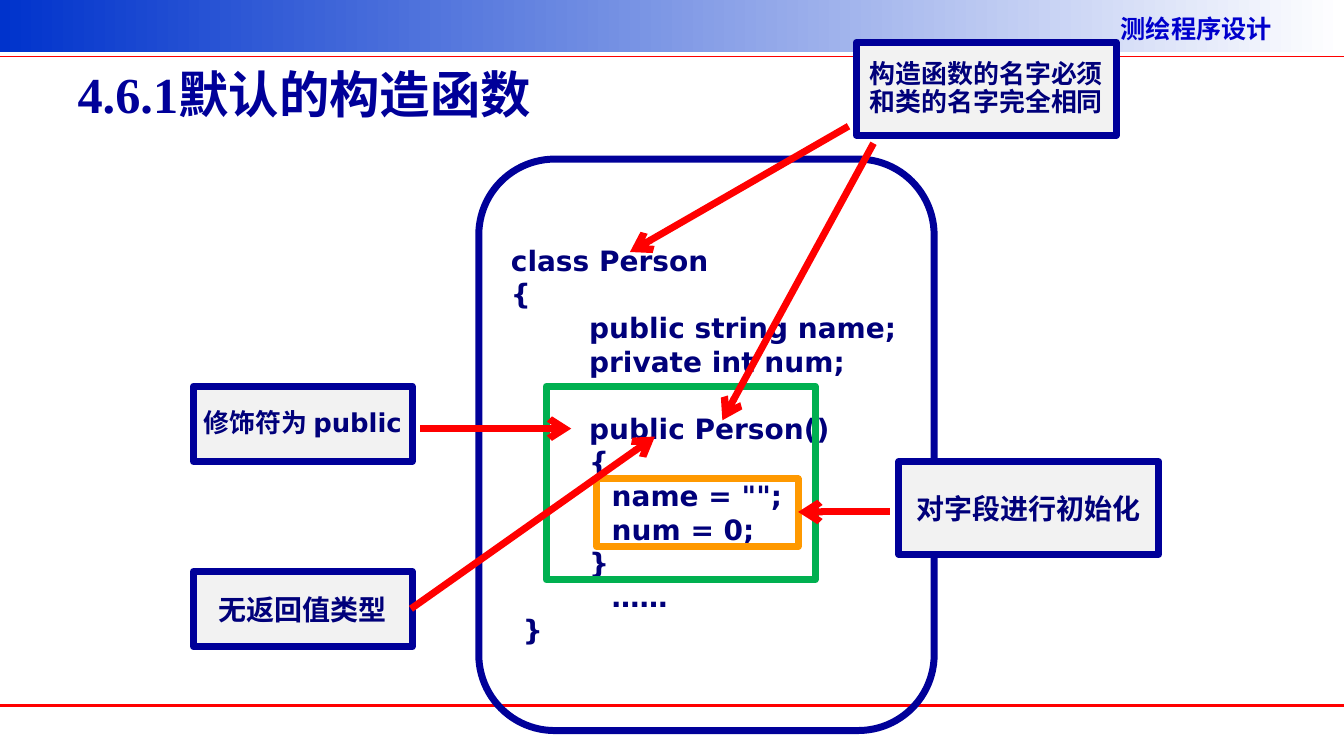
from lxml import etree
from pptx import Presentation
from pptx import util as u
from pptx.dml.color import RGBColor
from pptx.enum import shapes, text
from pptx.oxml.ns import qn

NAVY, INK, RED, PALE = "000099", "00007A", "FF0000", "F2F2F2"
GREEN, ORANGE, BLUE, WHITE = "00B050", "FF9900", "0033CC", "FFFFFF"
CODE_FONT, CHINESE_FONT = "DejaVu Sans", "Noto Sans CJK SC"
THICK = 5

# Each code line: indent in cm, text
CODE = [
    (0, "class Person"),
    (0, "{"),
    (1.97, "public string name;"),
    (1.97, "private int num;"),
    (1.97, "public Person()"),
    (1.97, "{"),
    (2.54, 'name = "";'),
    (2.54, "num = 0;"),
    (1.97, "}"),
    (2.54, "……"),
    (0.3, "}"),
]
CONSTRUCTOR_LINE = 4

# Position and size in cm, text, font size, line spacing
CALLOUTS = [
    ((21.59, 1.07, 6.55, 2.34), "构造函数的名字必须和类的名字完全相同", 18.5, 0.9),
    ((4.88, 9.73, 5.51, 1.9), "修饰符为 public", 18.5, 0.9),
    ((4.88, 14.4, 5.51, 1.9), "无返回值类型", 20, 1),
    ((22.66, 11.63, 6.55, 2.34), "对字段进行初始化", 20, 1),
]

# Start x, start y, end x, end y in cm
ARROWS = [
    (21.39, 3.18, 15.88, 6.35),
    (22.02, 3.61, 18.21, 10.59),
    (10.59, 10.8, 14.4, 10.8),
    (10.36, 15.34, 16.51, 11),
    (22.43, 12.9, 20.12, 12.9),
]


def color(hex_value):
    return RGBColor.from_string(hex_value)


def lengths(values):
    return [u.Cm(value) for value in values]


def format_paragraph(paragraph, size, hex_value, font_name, alignment):
    paragraph.alignment = alignment
    font = paragraph.font
    font.name, font.size, font.bold = font_name, u.Pt(size), True
    font.color.rgb = color(hex_value)
    latin = paragraph._p.find(".//" + qn("a:latin"))
    east_asian = etree.Element(qn("a:ea"), typeface=CHINESE_FONT)
    latin.addnext(east_asian)


def add_box(slide, box, line=None, fill=None, kind=shapes.MSO_SHAPE.RECTANGLE):
    shape = slide.shapes.add_shape(kind, *lengths(box))
    shape.shadow.inherit = False
    if fill:
        shape.fill.solid()
        shape.fill.fore_color.rgb = color(fill)
    else:
        shape.fill.background()
    if line:
        shape.line.color.rgb = color(line)
        shape.line.width = u.Pt(THICK)
    else:
        shape.line.fill.background()
    return shape


def add_line(slide, ends, width, arrow=False):
    connector = slide.shapes.add_connector(shapes.MSO_CONNECTOR.STRAIGHT, *lengths(ends))
    connector.line.color.rgb = color(RED)
    connector.line.width = u.Pt(width)
    if arrow:
        etree.SubElement(connector.line._get_or_add_ln(), qn("a:tailEnd"), type="arrow")
    etree.SubElement(connector._element.spPr, qn("a:effectLst"))


def add_header(slide):
    bar = add_box(slide, (0, 0, 33.88, 1.32))
    bar.fill.gradient()
    bar.fill.gradient_angle = 0
    for stop, position, hex_value in zip(bar.fill.gradient_stops, (0, 1), (BLUE, WHITE)):
        stop.position = position
        stop.color.rgb = color(hex_value)

    course = slide.shapes.add_textbox(*lengths((28, 0.2, 5.8, 1.02)))
    course.text_frame.word_wrap = True
    course.text_frame.vertical_anchor = text.MSO_ANCHOR.MIDDLE
    paragraph = course.text_frame.paragraphs[0]
    paragraph.text = "测绘程序设计"
    format_paragraph(paragraph, 18, "0000CC", CHINESE_FONT, text.PP_ALIGN.LEFT)

    for y, width in ((1.42, 1), (17.78, 2.25)):
        add_line(slide, (0, y, 33.88, y), width)


def set_title(slide):
    title = slide.shapes.title
    title.left, title.top, title.width, title.height = lengths((1.7, 0.76, 30.48, 3.18))
    title.text_frame.vertical_anchor = text.MSO_ANCHOR.MIDDLE
    paragraph = title.text_frame.paragraphs[0]
    paragraph.text = "4.6.1默认的构造函数"
    format_paragraph(paragraph, 36, NAVY, "Times New Roman", text.PP_ALIGN.LEFT)


def add_code(slide):
    shape = add_box(slide, (12.07, 4.01, 11.48, 14.4), NAVY,
                    kind=shapes.MSO_SHAPE.ROUNDED_RECTANGLE)
    frame = shape.text_frame
    for number, (indent, code) in enumerate(CODE):
        paragraph = frame.add_paragraph() if number else frame.paragraphs[0]
        paragraph.text = code
        format_paragraph(paragraph, 20, INK, CODE_FONT, text.PP_ALIGN.LEFT)
        paragraph._p.pPr.set("marL", str(u.Cm(indent)))
    frame.paragraphs[CONSTRUCTOR_LINE].space_before = u.Pt(24)


def add_callout(slide, box, label, size, spacing):
    shape = add_box(slide, box, NAVY, PALE)
    paragraph = shape.text_frame.paragraphs[0]
    paragraph.text = label
    paragraph.line_spacing = spacing
    format_paragraph(paragraph, size, INK, CODE_FONT, text.PP_ALIGN.CENTER)


def main():
    presentation = Presentation()
    presentation.slide_width, presentation.slide_height = lengths((33.88, 19.05))
    slide = presentation.slides.add_slide(presentation.slide_layouts.get_by_name("Title Only"))
    add_header(slide)
    set_title(slide)
    add_code(slide)
    add_box(slide, (13.77, 9.73, 6.78, 4.88), GREEN)
    for callout in CALLOUTS:
        add_callout(slide, *callout)
    add_box(slide, (15.04, 12.07, 5.08, 1.7), ORANGE)
    for ends in ARROWS:
        add_line(slide, ends, THICK, arrow=True)
    presentation.save("out.pptx")


if __name__ == "__main__":
    main()
